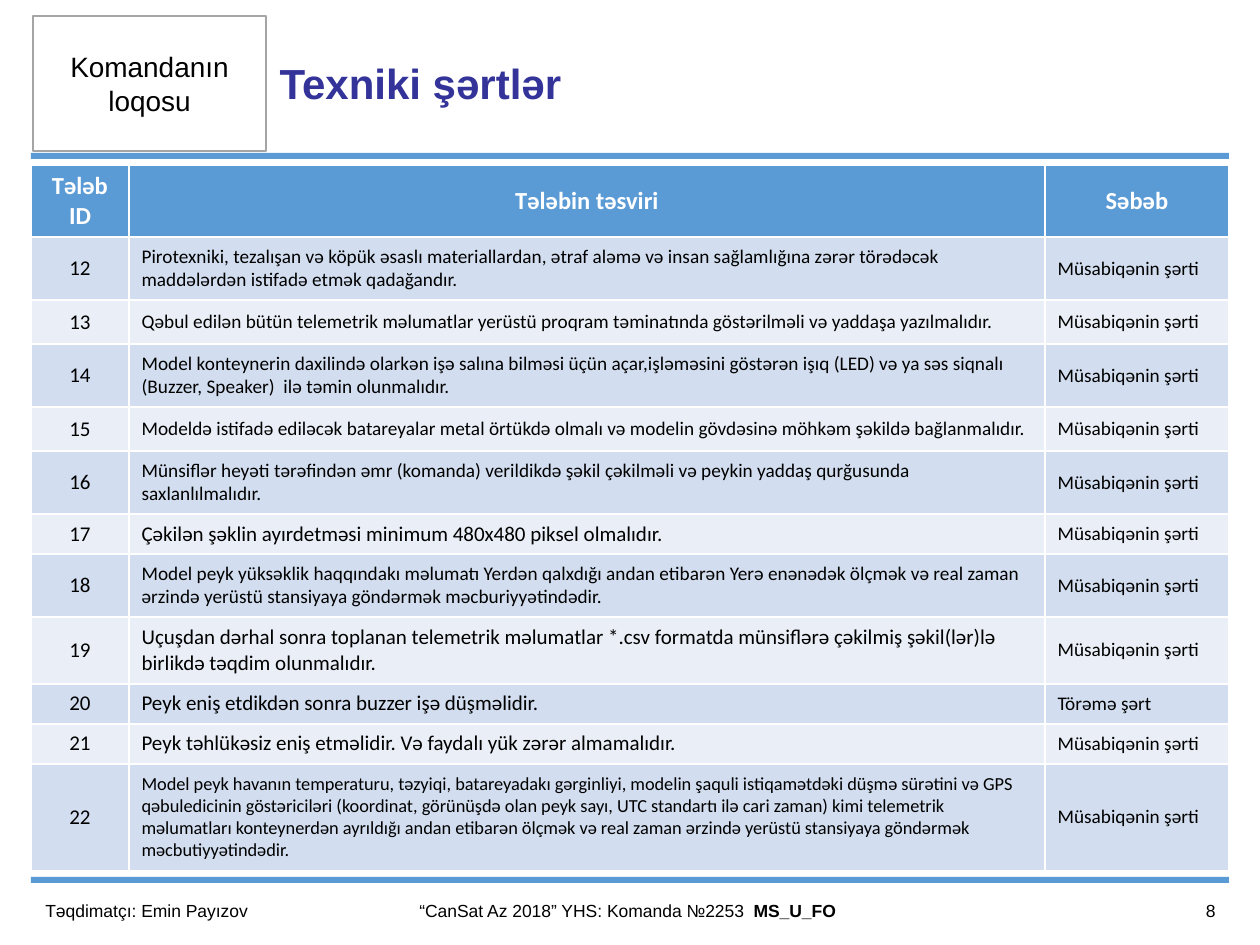
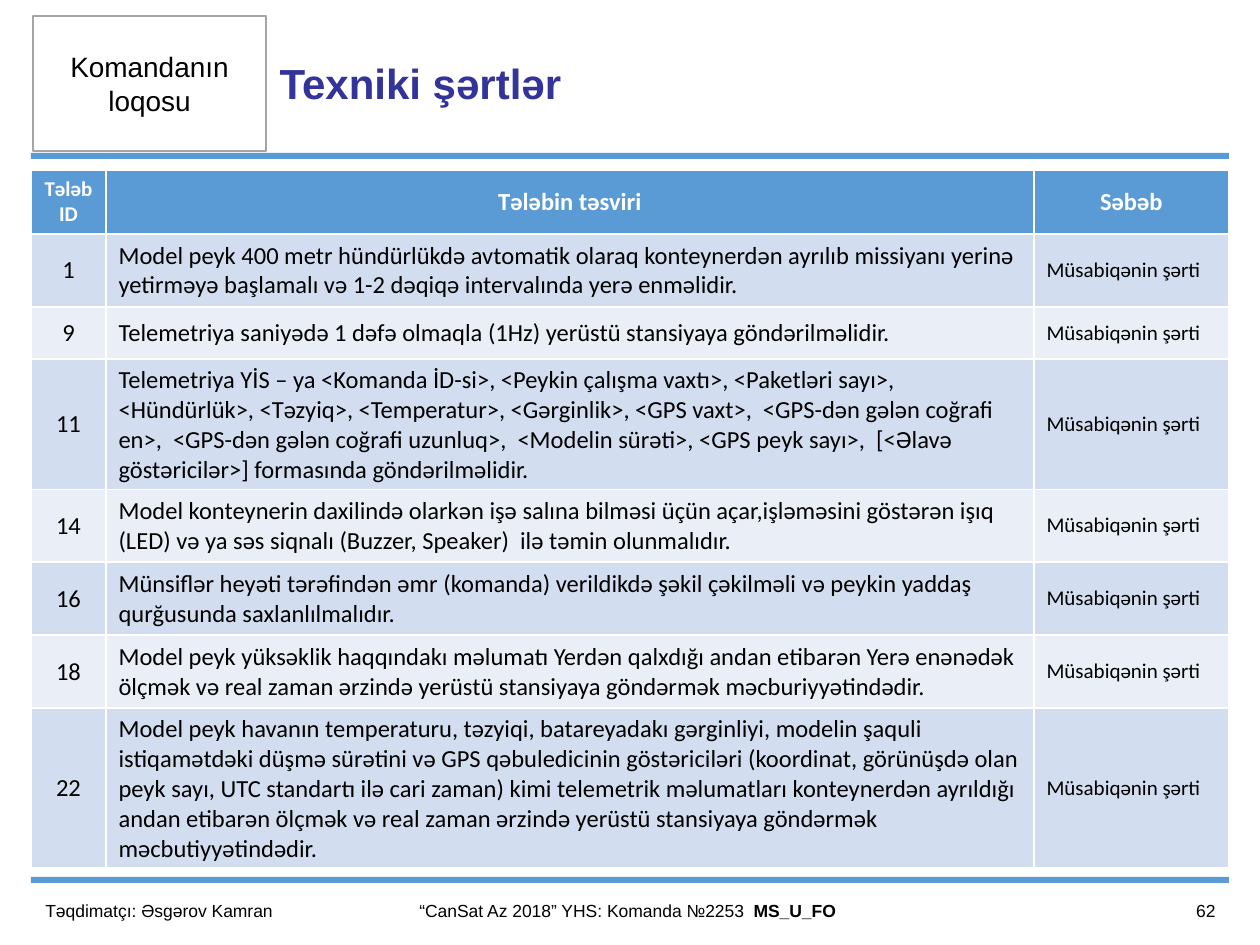
from pptx import Presentation
from pptx import util as u
from pptx.dml.color import RGBColor
from pptx.enum import shapes, text

WHITE, BLACK, NAVY = "FFFFFF", "000000", "333399"
BLUE, GREY = "5B9BD5", "A5A5A5"
ROW_FILLS = ("D2DEEF", "EAEFF7")
LEFT, CENTER, RIGHT = text.PP_ALIGN.LEFT, text.PP_ALIGN.CENTER, text.PP_ALIGN.RIGHT

HEADINGS = ("Tələb ID", "Tələbin təsviri", "Səbəb")
RULE, DERIVED = "Müsabiqənin şərti", "Törəmə şərt"

REQUIREMENTS = {
    1: "Model peyk 400 metr hündürlükdə avtomatik olaraq konteynerdən ayrılıb missiyanı yerinə "
       "yetirməyə başlamalı və 1-2 dəqiqə intervalında yerə enməlidir.",
    9: "Telemetriya saniyədə 1 dəfə olmaqla (1Hz) yerüstü stansiyaya göndərilməlidir.",
    11: "Telemetriya YİS – ya <Komanda İD-si>, <Peykin çalışma vaxtı>, <Paketləri sayı>,  "
        "<Hündürlük>, <Təzyiq>, <Temperatur>, <Gərginlik>, <GPS vaxt>,  <GPS-dən gələn coğrafi "
        "en>,  <GPS-dən gələn coğrafi uzunluq>,  <Modelin sürəti>, <GPS peyk sayı>,  [<Əlavə "
        "göstəricilər>] formasında göndərilməlidir.",
    12: "Pirotexniki, tezalışan və köpük əsaslı materiallardan, ətraf aləmə və insan sağlamlığına "
        "zərər törədəcək maddələrdən istifadə etmək qadağandır.",
    13: "Qəbul edilən bütün telemetrik məlumatlar yerüstü proqram təminatında göstərilməli və "
        "yaddaşa yazılmalıdır.",
    14: "Model konteynerin daxilində olarkən işə salına bilməsi üçün açar,işləməsini göstərən "
        "işıq (LED) və ya səs siqnalı (Buzzer, Speaker)  ilə təmin olunmalıdır.",
    15: "Modeldə istifadə ediləcək batareyalar metal örtükdə olmalı və modelin gövdəsinə möhkəm "
        "şəkildə bağlanmalıdır.",
    16: "Münsiflər heyəti tərəfindən əmr (komanda) verildikdə şəkil çəkilməli və peykin yaddaş "
        "qurğusunda saxlanlılmalıdır.",
    17: "Çəkilən şəklin ayırdetməsi minimum 480x480 piksel olmalıdır.",
    18: "Model peyk yüksəklik haqqındakı məlumatı Yerdən qalxdığı andan etibarən Yerə enənədək "
        "ölçmək və real zaman ərzində yerüstü stansiyaya göndərmək məcburiyyətindədir.",
    19: "Uçuşdan dərhal sonra toplanan telemetrik məlumatlar *.csv formatda münsiflərə çəkilmiş "
        "şəkil(lər)lə birlikdə təqdim olunmalıdır.",
    20: "Peyk eniş etdikdən sonra buzzer işə düşməlidir.",
    21: "Peyk təhlükəsiz eniş etməlidir. Və faydalı yük zərər almamalıdır.",
    22: "Model peyk havanın temperaturu, təzyiqi, batareyadakı gərginliyi, modelin şaquli "
        "istiqamətdəki düşmə sürətini və GPS qəbuledicinin göstəriciləri (koordinat, görünüşdə "
        "olan peyk sayı, UTC standartı ilə cari zaman) kimi telemetrik məlumatları konteynerdən "
        "ayrıldığı andan etibarən ölçmək və real zaman ərzində yerüstü stansiyaya göndərmək "
        "məcbutiyyətindədir.",
}

# Each row: requirement id, row height in px, description size in points
SLIDES = (
    dict(presenter="Təqdimatçı: Emin Payızov", number=8, top=165, cols=(98, 916, 184),
         head_height=72, head_sizes=(14, 14, 14), id_size=12, reason_size=11,
         rows=((12, 63, 11), (13, 44, 11), (14, 63, 11), (15, 44, 11), (16, 63, 11),
               (17, 40, 12), (18, 63, 11), (19, 67, 12), (20, 40, 12), (21, 40, 12),
               (22, 107, 10.5))),
    dict(presenter="Təqdimatçı: Əsgərov Kamran", number=62, top=170, cols=(75, 928, 195),
         head_height=64, head_sizes=(12, 14, 14), id_size=14, reason_size=12,
         rows=((1, 73, 14), (9, 52, 14), (11, 130, 14), (14, 73, 14), (16, 73, 14),
               (18, 73, 14), (22, 158, 14))),
)


def px(n):
    return u.Emu(round(n * 914400 / 126))


def rgb(value):
    return RGBColor.from_string(value)


def write(tf, content, size, font="Arial", color=BLACK, bold=False, align=LEFT):
    """Add a run to the first paragraph of a text frame."""
    tf.word_wrap = True
    p = tf.paragraphs[0]
    p.alignment = align
    r = p.add_run()
    r.text = content
    r.font.size, r.font.name, r.font.bold = u.Pt(size), font, bold
    r.font.color.rgb = rgb(color)


def add_box(slide, box, fill, line=None):
    sp = slide.shapes.add_shape(shapes.MSO_SHAPE.RECTANGLE, *map(px, box))
    sp.shadow.inherit = False
    sp.fill.solid()
    sp.fill.fore_color.rgb = rgb(fill)
    if line:
        sp.line.color.rgb = rgb(line)
        sp.line.width = u.Pt(1)
    else:
        sp.line.fill.background()
    return sp


def add_label(slide, box, content, **fmt):
    tf = slide.shapes.add_textbox(*map(px, box)).text_frame
    tf.vertical_anchor = text.MSO_ANCHOR.MIDDLE
    write(tf, content, 10, **fmt)
    return tf


def build_frame(layout, slide):
    """Draw the bands and logo box, then move them to the shared layout."""
    parts = [add_box(slide, (31, top, 1198, 6), BLUE) for top in (153, 877)]
    logo = add_box(slide, (33, 16, 233, 135), WHITE, GREY)
    logo.text_frame.vertical_anchor = text.MSO_ANCHOR.MIDDLE
    write(logo.text_frame, "Komandanın loqosu", 16, align=CENTER)
    for sp in parts + [logo]:
        layout.shapes.element.append(sp.element)


def build_title(slide, box):
    title = slide.shapes.title
    title.left, title.top, title.width, title.height = map(px, box)
    tf = title.text_frame
    tf.auto_size = text.MSO_AUTO_SIZE.NONE
    tf.vertical_anchor = text.MSO_ANCHOR.MIDDLE
    write(tf, "Texniki şərtlər", 24, color=NAVY, bold=True)


def build_footer(slide, box, presenter, number):
    x, y, w, h = box
    add_label(slide, (x, y, 301, h), presenter)
    team = add_label(slide, (x + 301, y, 592, h),
                     "“CanSat Az 2018” YHS: Komanda №2253  ", align=CENTER)
    write(team, "MS_U_FO ", 10, bold=True, align=CENTER)
    add_label(slide, (x + w - 126, y, 126, h), str(number), align=RIGHT)


def fill_cell(cell, content, size, fill, **fmt):
    cell.fill.solid()
    cell.fill.fore_color.rgb = rgb(fill)
    cell.vertical_anchor = text.MSO_ANCHOR.MIDDLE
    write(cell.text_frame, content, size, font="Calibri", **fmt)


def build_table(slide, left, data):
    heights = [data["head_height"]] + [row[1] for row in data["rows"]]
    box = (left, data["top"], sum(data["cols"]), sum(heights))
    table = slide.shapes.add_table(len(heights), len(HEADINGS), *map(px, box)).table
    for column, width in zip(table.columns, data["cols"]):
        column.width = px(width)
    for row, height in zip(table.rows, heights):
        row.height = px(height)
    for c, (heading, size) in enumerate(zip(HEADINGS, data["head_sizes"])):
        fill_cell(table.cell(0, c), heading, size, BLUE, color=WHITE, bold=True, align=CENTER)
    for i, (key, _, size) in enumerate(data["rows"]):
        fill = ROW_FILLS[i % 2]
        reason = DERIVED if key == 20 else RULE
        number_cell, text_cell, reason_cell = table.rows[i + 1].cells
        fill_cell(number_cell, str(key), data["id_size"], fill, align=CENTER)
        fill_cell(text_cell, REQUIREMENTS[key], size, fill)
        fill_cell(reason_cell, reason, data["reason_size"], fill)


def main():
    prs = Presentation()
    prs.slide_width, prs.slide_height = px(1260), px(945)
    layout = prs.slide_layouts.get_by_name("Title Only")
    for i, data in enumerate(SLIDES):
        slide = prs.slides.add_slide(layout)
        if i == 0:
            build_frame(layout, slide)
        build_title(slide, (267, 16, 756, 134))
        build_footer(slide, (33, 886, 1195, 50), data["presenter"], data["number"])
        build_table(slide, 31, data)
    prs.save("out.pptx")


if __name__ == "__main__":
    main()
